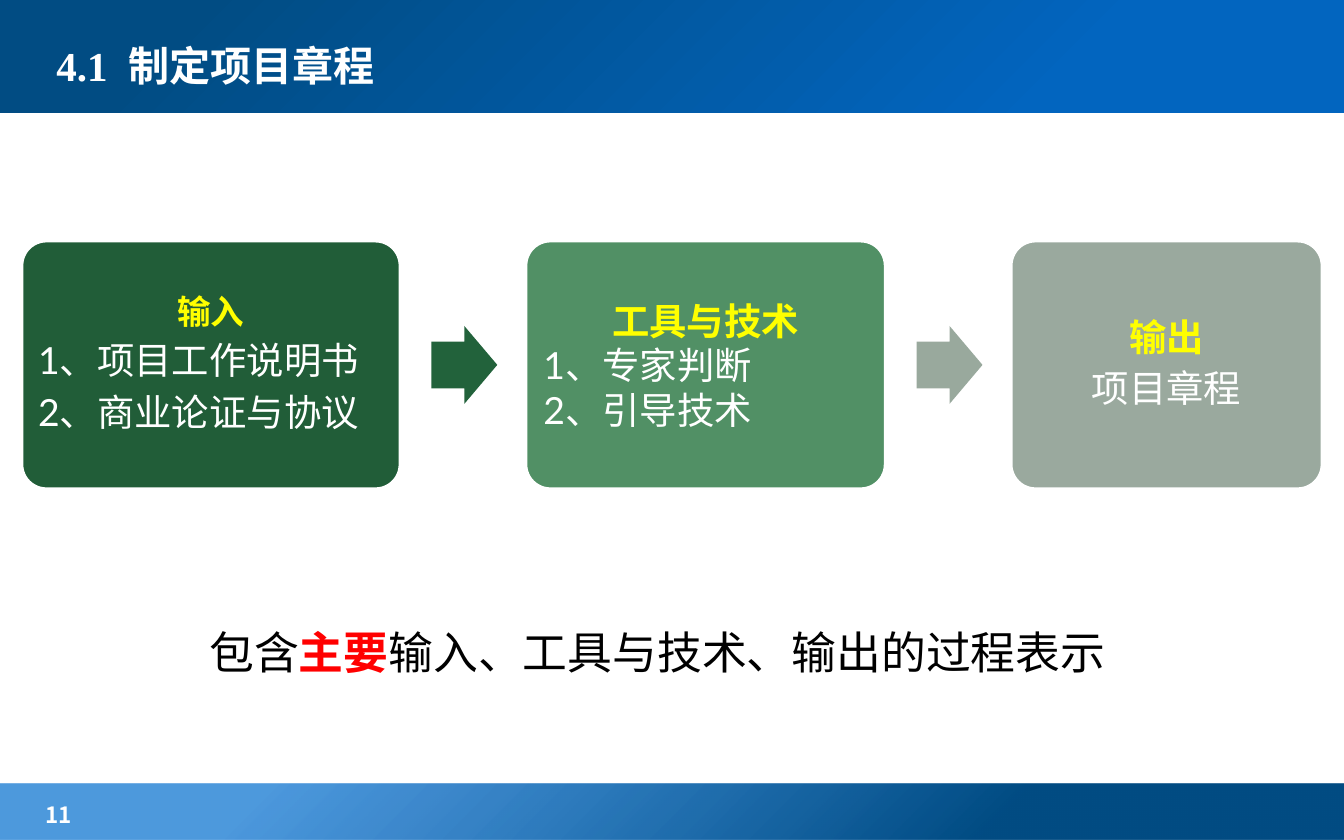
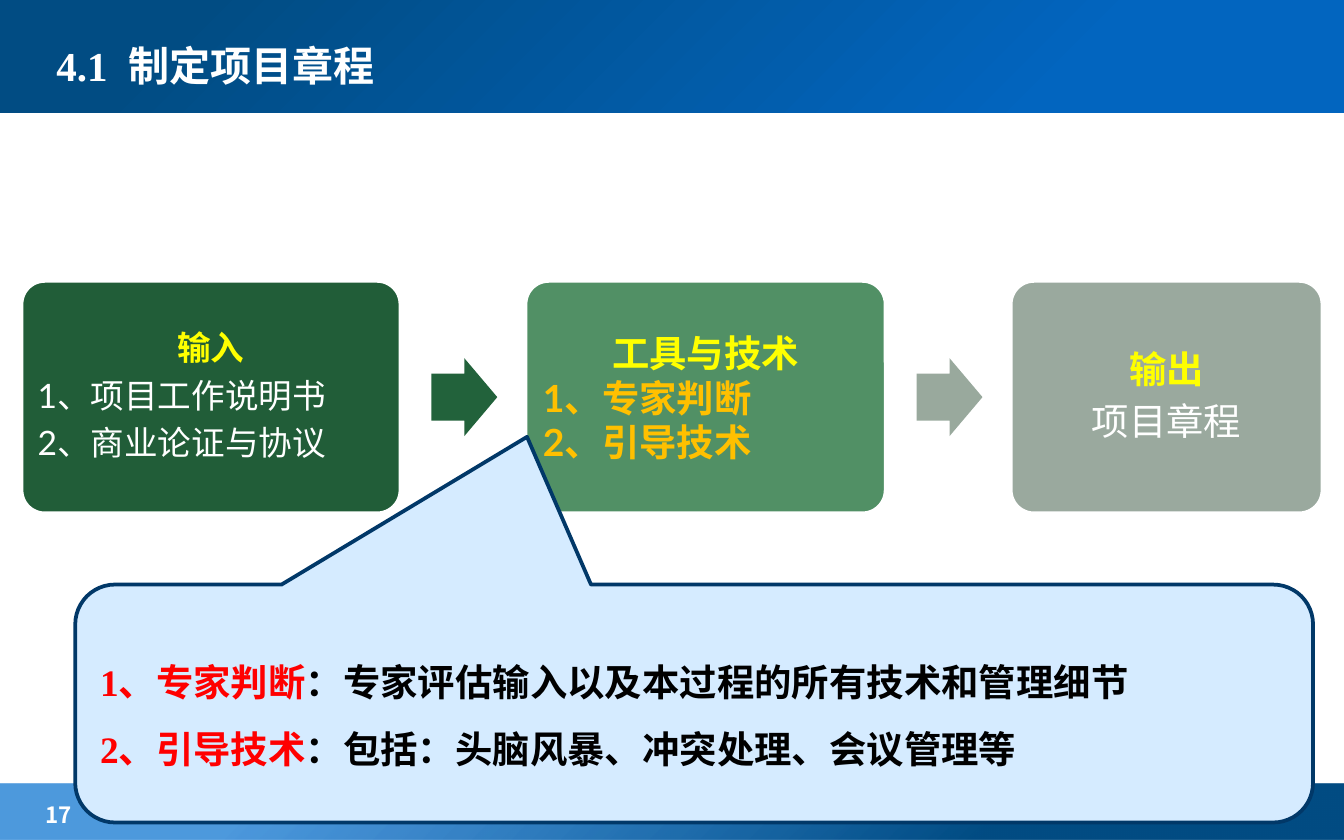
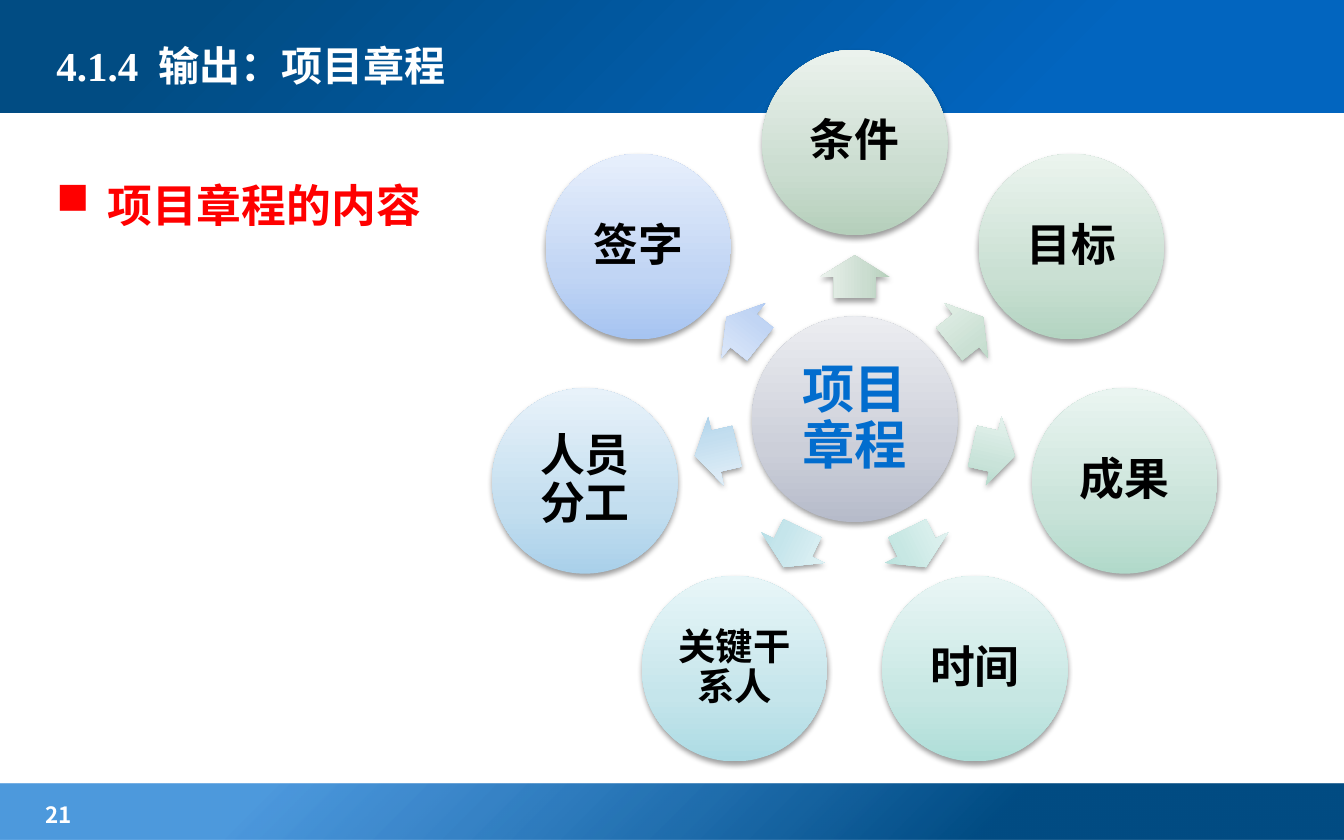
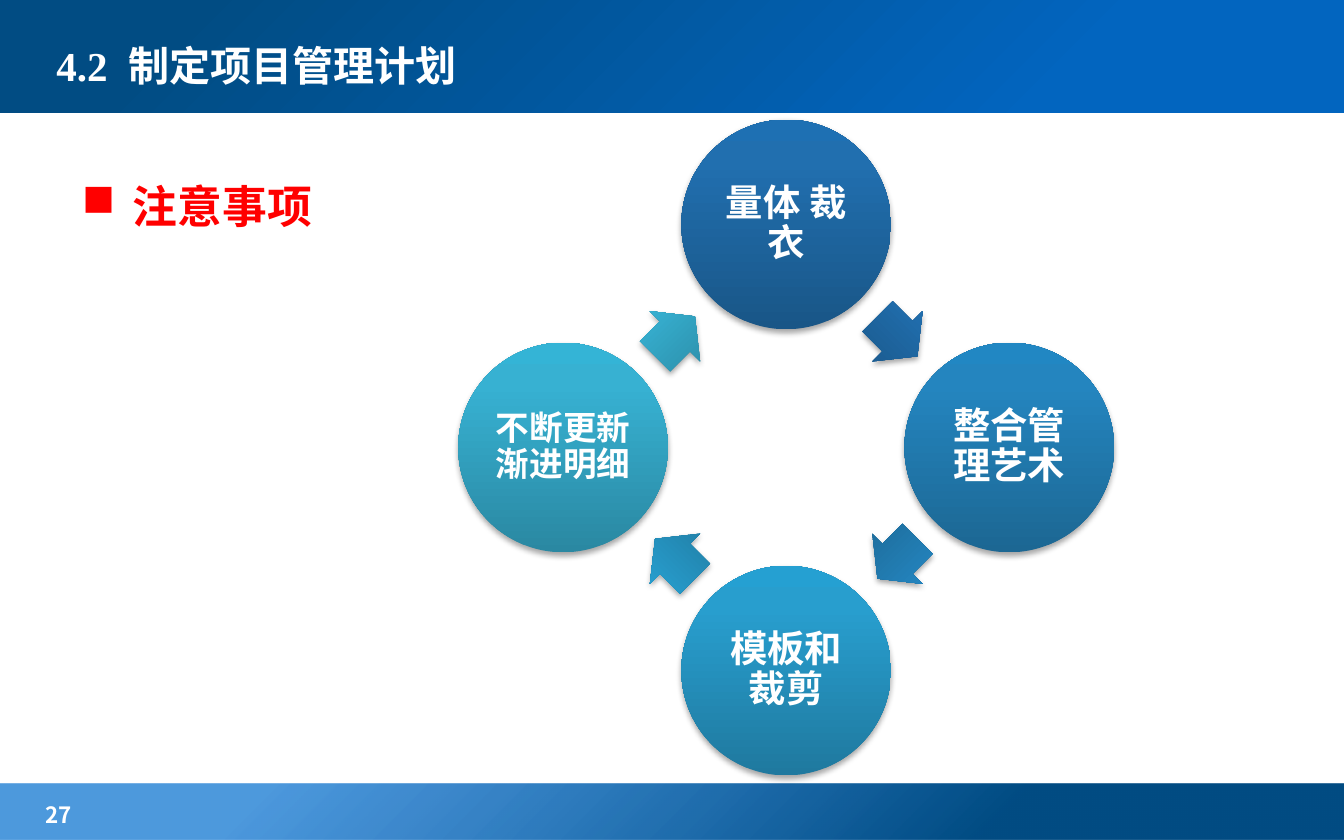
from dataclasses import dataclass
from math import cos, radians, sin

from lxml.etree import SubElement
from pptx import Presentation
from pptx.dml.color import RGBColor
from pptx.enum.shapes import MSO_SHAPE
from pptx.enum.text import MSO_ANCHOR, PP_ALIGN
from pptx.oxml import parse_xml
from pptx.oxml.ns import nsdecls, qn
from pptx.util import Emu, Pt

EMU_PER_PX = 9144  # 100 px to the inch


@dataclass(frozen=True)
class Theme:
    white: str = "FFFFFF"
    black: str = "000000"
    red: str = "FF0000"
    yellow: str = "FFFF00"
    amber: str = "FFC000"
    blue: str = "026DCE"
    callout_fill: str = "D5EBFF"
    callout_line: str = "013868"
    cards: tuple = ("215D38", "519065", "9AA99E")
    arrows: tuple = ("22623B", "99A99D")
    header: tuple = ((21, "0265BF", 100), (86, "014C83", 100))
    footer: tuple = ((26, "014C83", 100), (80, "026DCE", 70))
    hub: tuple = ("B6BBCA", "CCCFD9", "ECEDF1")
    heading_font: str = "Times New Roman"
    body_font: str = "Lato"
    chinese_font: str = "Noto Sans CJK SC"
    number_size: int = 12
    small: int = 18
    body: int = 20
    title: int = 22
    large: int = 24
    hub_size: int = 28


THEME = Theme()
CENTER, LEFT = PP_ALIGN.CENTER, PP_ALIGN.LEFT


@dataclass
class Span:
    text: str
    color: str = THEME.white
    bold: bool = False


@dataclass
class Para:
    spans: list
    size: int = THEME.body
    align: PP_ALIGN = LEFT
    line: float = 1.0
    after: int = 0
    bullet: bool = False


def px(*lengths):
    return [Emu(round(length * EMU_PER_PX)) for length in lengths]


# Text
def add_bullet(para):
    properties = para._p.get_or_add_pPr()
    margin = px(38)[0]
    properties.set("marL", str(margin))
    properties.set("indent", str(-margin))
    SubElement(properties, qn("a:buChar")).set("char", "■")


def write(frame, paras, font, inset=None, anchor=MSO_ANCHOR.MIDDLE, wrap=True):
    frame.word_wrap = wrap
    frame.vertical_anchor = anchor
    if inset is not None:
        margin = px(inset)[0]
        frame.margin_left = frame.margin_right = margin
        frame.margin_top = frame.margin_bottom = margin
    for index, item in enumerate(paras):
        para = frame.add_paragraph() if index else frame.paragraphs[0]
        if item.bullet:
            add_bullet(para)
        para.alignment = item.align
        para.line_spacing = item.line
        para.space_after = Pt(item.after)
        for span in item.spans:
            run = para.add_run()
            run.text = span.text
            run.font.size = Pt(item.size)
            run.font.bold = span.bold
            run.font.color.rgb = RGBColor.from_string(span.color)
            run.font.name = font
            SubElement(run._r.get_or_add_rPr(), qn("a:ea")).set("typeface", THEME.chinese_font)


def add_text(slide, place, paras, font, **options):
    box = slide.shapes.add_textbox(*px(*place))
    write(box.text_frame, paras, font, **options)
    return box


# Shapes
def add_plain_shape(slide, kind, place, fill=None, line=None, adjust=()):
    shape = slide.shapes.add_shape(kind, *px(*place))
    shape.shadow.inherit = False
    for index, value in enumerate(adjust):
        shape.adjustments[index] = value
    if fill:
        shape.fill.solid()
        shape.fill.fore_color.rgb = RGBColor.from_string(fill)
    if line:
        shape.line.color.rgb = RGBColor.from_string(line)
        shape.line.width = Pt(2)
    else:
        shape.line.fill.background()
    return shape


def set_gradient(shape, stops, direction):
    stop_xml = "".join(
        f'<a:gs pos="{position * 1000}"><a:srgbClr val="{color}">'
        f'<a:alpha val="{alpha * 1000}"/></a:srgbClr></a:gs>'
        for position, color, alpha in stops)
    shape.fill.background()
    properties = shape._element.spPr
    properties.replace(properties.find(qn("a:noFill")), parse_xml(
        f'<a:gradFill {nsdecls("a")} rotWithShape="1">'
        f'<a:gsLst>{stop_xml}</a:gsLst>{direction}</a:gradFill>'))


def add_glossy_shape(slide, kind, center, size, colors, middle, opacity, adjust=(), rotation=0):
    """Shape around a center, with an upward gradient and a soft shadow."""
    (x, y), (width, height) = center, size
    place = (x - width / 2, y - height / 2, width, height)
    shape = add_plain_shape(slide, kind, place, adjust=adjust)
    shape.rotation = rotation % 360
    stops = [(position, color, 100) for position, color in zip((0, middle, 100), colors)]
    set_gradient(shape, stops, '<a:lin ang="16200000" scaled="0"/>')
    shape._element.spPr.find(qn("a:effectLst")).append(parse_xml(
        f'<a:outerShdw {nsdecls("a")} blurRad="{Pt(3.1)}" dist="{Pt(1.7)}" dir="5400000" '
        f'rotWithShape="0"><a:srgbClr val="{THEME.black}">'
        f'<a:alpha val="{opacity * 1000}"/></a:srgbClr></a:outerShdw>'))
    return shape


def add_disc(slide, center, diameter, text, color, size, inset, **gloss):
    disc = add_glossy_shape(slide, MSO_SHAPE.OVAL, center, (diameter, diameter), **gloss)
    label = Para([Span(text, color, True)], size, CENTER, 0.9, 6)
    write(disc.text_frame, [label], THEME.heading_font, inset)


def add_ring_arrow(slide, center, size, rotation, **gloss):
    add_glossy_shape(slide, MSO_SHAPE.RIGHT_ARROW, center, size,
                     adjust=(0.6, 0.5), rotation=rotation, **gloss)


def ring_point(center, radius, angle):
    """Point on a ring, with the angle clockwise from the top."""
    turn = radians(angle)
    return center[0] + radius * sin(turn), center[1] - radius * cos(turn)


# Shared frame of the slides
def add_bands_to_layout(slide):
    corner = ('<a:path path="circle"><a:fillToRect l="100000" t="100000"/></a:path>'
              '<a:tileRect r="-100000" b="-100000"/>')
    bands = (((0, -3, 1000, 87), THEME.header), ((0, 583, 1000, 42), THEME.footer))
    for place, stops in bands:
        band = add_plain_shape(slide, MSO_SHAPE.RECTANGLE, place)
        set_gradient(band, stops, corner)
        slide.slide_layout.shapes.element.insert(2, band._element)


def add_slide(deck, title, number):
    slide = deck.slides.add_slide(deck.slide_layouts[5])
    if len(deck.slides) == 1:
        add_bands_to_layout(slide)
    heading = slide.shapes.title
    heading.left, heading.top, heading.width, heading.height = px(32, 13, 638, 71)
    write(heading.text_frame, [Para([Span(title, bold=True)], THEME.title)], THEME.heading_font)
    add_text(slide, (20, 591, 157, 26),
             [Para([Span(f" {number}", bold=True)], THEME.number_size)],
             THEME.chinese_font, anchor=MSO_ANCHOR.TOP)
    return slide


def add_topic(slide, place, text):
    topic = Para([Span(text, THEME.red, True)], THEME.large, line=1.5, bullet=True)
    add_text(slide, place, [topic], THEME.heading_font, anchor=MSO_ANCHOR.TOP)


# Input, tools and output flow
def add_flow(slide, top, height, input_size, tool_color, tool_bold):
    def heading(text, size=THEME.body, **spacing):
        return Para([Span(text, THEME.yellow, True)], size, CENTER, **spacing)

    airy = {"line": 0.9, "after": 6}
    inputs = [heading("输入", THEME.small, **airy)]
    inputs += [Para([Span(text)], input_size, **airy)
               for text in ("1、项目工作说明书", "2、商业论证与协议")]
    tools = [heading("工具与技术")]
    tools += [Para([Span(text, tool_color, tool_bold)])
              for text in ("1、专家判断", "2、引导技术")]
    outputs = [heading("输出", **airy), Para([Span("项目章程")], align=CENTER, **airy)]

    gap, arrow_width, arrow_height = 93, 49, 58
    left = 16
    cards = zip((282, 268, 232), (7, 8, 8), THEME.cards, (inputs, tools, outputs))
    for index, (width, inset, fill, paras) in enumerate(cards):
        if index:
            place = (left - gap + 23, top + (height - arrow_height) / 2, arrow_width, arrow_height)
            add_plain_shape(slide, MSO_SHAPE.RIGHT_ARROW, place,
                            THEME.arrows[index - 1], adjust=(0.6, 0.5))
        card = add_plain_shape(slide, MSO_SHAPE.ROUNDED_RECTANGLE, (left, top, width, height),
                               fill, THEME.white, adjust=(0.1,))
        write(card.text_frame, paras, THEME.body_font, inset)
        left += width + gap


def build_overview(deck):
    slide = add_slide(deck, "4.1  制定项目章程", 11)
    add_flow(slide, 179, 185, THEME.body, THEME.white, False)
    spans = [Span("包含", THEME.black), Span("主要", THEME.red, True),
             Span("输入、工具与技术、输出的过程表示", THEME.black)]
    add_text(slide, (146, 460, 693, 50), [Para(spans, THEME.large)], THEME.body_font,
             anchor=MSO_ANCHOR.TOP, wrap=False)


def build_tools(deck):
    slide = add_slide(deck, "4.1  制定项目章程", 17)
    add_flow(slide, 209, 173, THEME.small, THEME.amber, True)
    callout = add_plain_shape(slide, MSO_SHAPE.ROUNDED_RECTANGULAR_CALLOUT, (56, 435, 921, 177),
                              THEME.callout_fill, THEME.callout_line, (-0.135, -1.121, 0.167))
    details = (("1、专家判断", "：专家评估输入以及本过程的所有技术和管理细节"),
               ("2、引导技术", "：包括：头脑风暴、冲突处理、会议管理等"))
    paras = [Para([Span(term, THEME.red, True), Span(detail, THEME.black, True)], line=1.5)
             for term, detail in details]
    write(callout.text_frame, paras, THEME.heading_font)


# Charter contents around a hub
def build_charter_contents(deck):
    slide = add_slide(deck, "4.1.4  输出：项目章程", 21)
    add_topic(slide, (32, 107, 898, 390), "项目章程的内容")
    hub = (636, 312)
    gloss = {"middle": 35, "opacity": 38}
    add_disc(slide, hub, 153, "项目章程", THEME.blue, THEME.hub_size, 4,
             colors=THEME.hub, **gloss)
    contents = (
        ("条件", THEME.large, ("B5CFBB", "CBDDD0", "EBF2ED")),
        ("目标", THEME.large, ("B3D4C1", "CAE0D3", "EBF4EE")),
        ("成果", THEME.large, ("B1D9CA", "C9E3D9", "EAF5F1")),
        ("时间", THEME.large, ("AEDED8", "C7E7E3", "E9F6F5")),
        ("关键干系人", THEME.body, ("ACDBE4", "C5E5EB", "E8F6F8")),
        ("人员分工", THEME.large, ("A9D0EA", "C3DEEF", "E8F2FA")),
        ("签字", THEME.large, ("A6C4F1", "C1D5F4", "E7EFFC")),
    )
    for index, (text, size, colors) in enumerate(contents):
        angle = index * 360 / len(contents)
        add_ring_arrow(slide, ring_point(hub, 106, angle), (32, 52), angle - 90,
                       colors=colors, **gloss)
        add_disc(slide, ring_point(hub, 206, angle), 138, text, THEME.black, size, 3,
                 colors=colors, **gloss)


# Cycle of points to note
def build_planning_notes(deck):
    slide = add_slide(deck, "4.2  制定项目管理计划", 27)
    add_topic(slide, (51, 108, 898, 402), "注意事项")
    center = (585, 333)
    gloss = {"middle": 80, "opacity": 35}
    notes = (
        ("量体 裁衣", THEME.body, ("195687", "216FAF", "1E70B3")),
        ("整合管理艺术", THEME.body, ("1C6793", "2485BF", "2187C3")),
        ("模板和裁剪", THEME.body, ("1F799F", "289ECE", "25A0D2")),
        ("不断更新渐进明细", THEME.small, ("2A88A2", "37B1D2", "34B4D6")),
    )
    step = 360 / len(notes)
    for index, (text, size, colors) in enumerate(notes):
        angle = index * step
        add_disc(slide, ring_point(center, 166, angle), 156, text, THEME.white, size, 3,
                 colors=colors, **gloss)
        add_ring_arrow(slide, ring_point(center, 117, angle + step / 2), (42, 53),
                       angle + step / 2, colors=colors, **gloss)


def main():
    deck = Presentation()
    deck.slide_width, deck.slide_height = px(1000, 625)
    build_overview(deck)
    build_tools(deck)
    build_charter_contents(deck)
    build_planning_notes(deck)
    deck.save("out.pptx")


if __name__ == "__main__":
    main()
